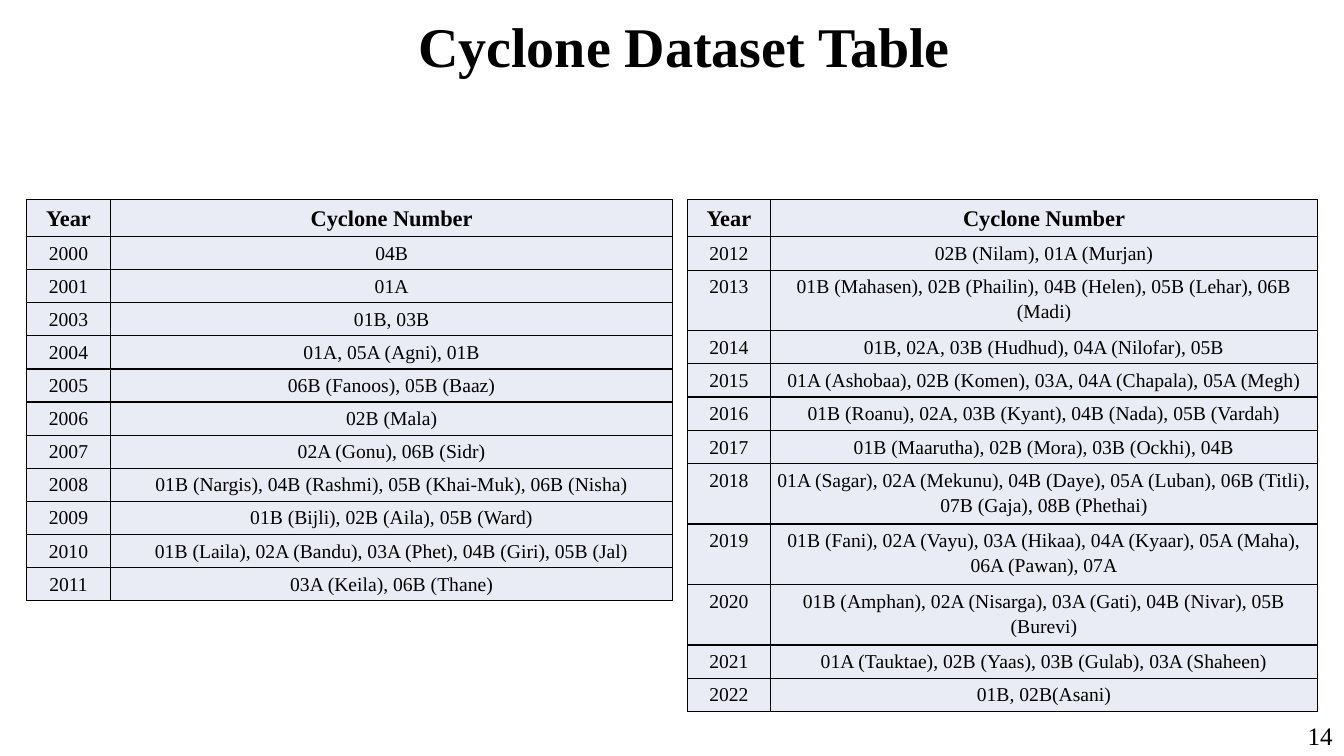
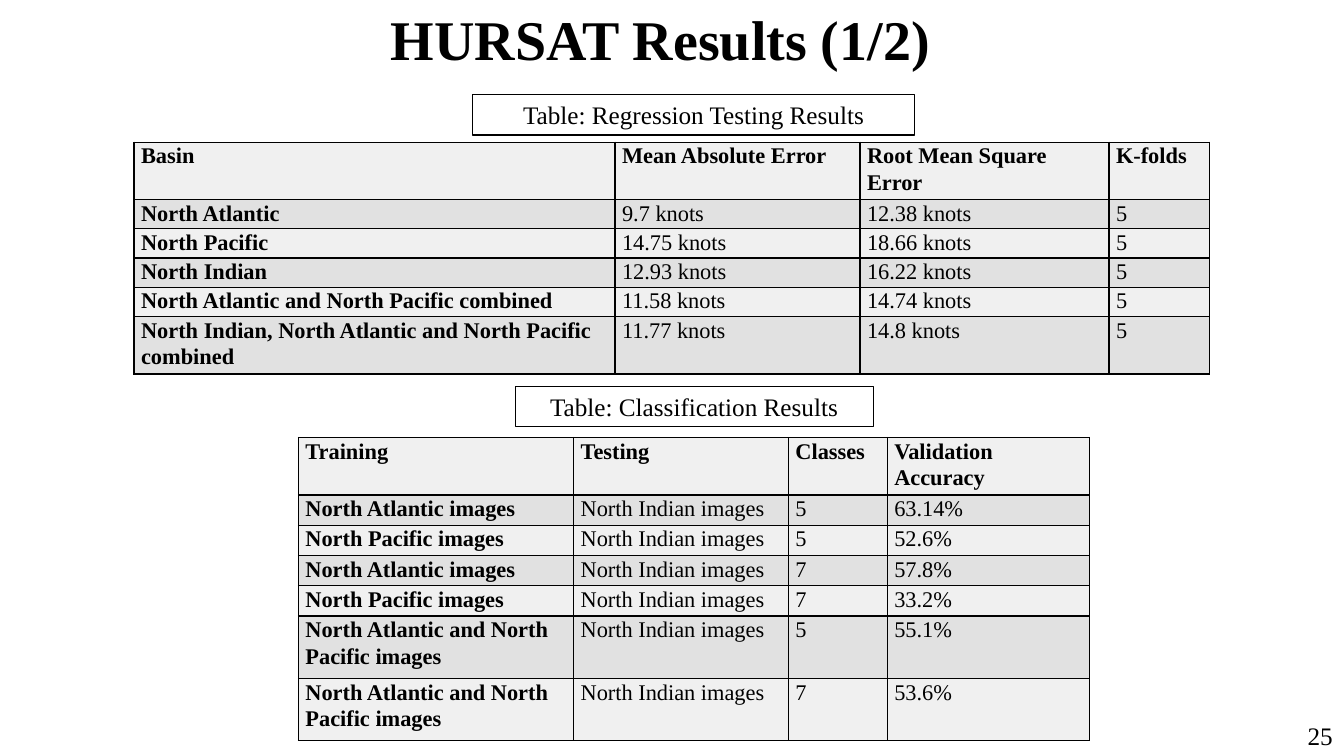
import pptx
import pptx.dml.color
import pptx.enum.shapes
import pptx.enum.text
import pptx.oxml
import pptx.oxml.ns
import pptx.util

PX = 9144  # 100 px to the inch
FONT = "Times New Roman"
INK = "000000"
LAVENDER = "E9EBF5"
GREYS = ("F0F0F0", "E1E1E1")
ALIGN = pptx.enum.text.PP_ALIGN
TITLE_ONLY = 5

CYCLONES_TO_2011 = [
    ("Year", "Cyclone Number"),
    ("2000", "04B"),
    ("2001", "01A"),
    ("2003", "01B, 03B"),
    ("2004", "01A, 05A (Agni), 01B"),
    ("2005", "06B (Fanoos), 05B (Baaz)"),
    ("2006", "02B (Mala)"),
    ("2007", "02A (Gonu), 06B (Sidr)"),
    ("2008", "01B (Nargis), 04B (Rashmi), 05B (Khai-Muk), 06B (Nisha)"),
    ("2009", "01B (Bijli), 02B (Aila), 05B (Ward)"),
    ("2010", "01B (Laila), 02A (Bandu), 03A (Phet), 04B (Giri), 05B (Jal)"),
    ("2011", "03A (Keila), 06B (Thane)"),
]
CYCLONES_FROM_2012 = [
    ("Year", "Cyclone Number"),
    ("2012", "02B (Nilam), 01A (Murjan)"),
    ("2013", "01B (Mahasen), 02B (Phailin), 04B (Helen), 05B (Lehar), 06B (Madi)"),
    ("2014", "01B, 02A, 03B (Hudhud), 04A (Nilofar), 05B"),
    ("2015", "01A (Ashobaa), 02B (Komen), 03A, 04A (Chapala), 05A (Megh)"),
    ("2016", "01B (Roanu), 02A, 03B (Kyant), 04B (Nada), 05B (Vardah)"),
    ("2017", "01B (Maarutha), 02B (Mora), 03B (Ockhi), 04B"),
    ("2018", "01A (Sagar), 02A (Mekunu), 04B (Daye), 05A (Luban), 06B (Titli), "
             "07B (Gaja), 08B (Phethai)"),
    ("2019", "01B (Fani), 02A (Vayu), 03A (Hikaa), 04A (Kyaar), 05A (Maha), "
             "06A (Pawan), 07A"),
    ("2020", "01B (Amphan), 02A (Nisarga), 03A (Gati), 04B (Nivar), 05B (Burevi)"),
    ("2021", "01A (Tauktae), 02B (Yaas), 03B (Gulab), 03A (Shaheen)"),
    ("2022", "01B, 02B(Asani)"),
]
REGRESSION = [
    ("Basin", "Mean Absolute Error", "Root Mean Square Error", "K-folds"),
    ("North Atlantic", "9.7 knots", "12.38 knots", "5"),
    ("North Pacific", "14.75 knots", "18.66 knots", "5"),
    ("North Indian", "12.93 knots", "16.22 knots", "5"),
    ("North Atlantic and North Pacific combined", "11.58 knots", "14.74 knots", "5"),
    ("North Indian, North Atlantic and North Pacific combined",
     "11.77 knots", "14.8 knots", "5"),
]
CLASSIFICATION = [
    ("Training", "Testing", "Classes", "Validation Accuracy"),
    ("North Atlantic images", "North Indian images", "5", "63.14%"),
    ("North Pacific images", "North Indian images", "5", "52.6%"),
    ("North Atlantic images", "North Indian images", "7", "57.8%"),
    ("North Pacific images", "North Indian images", "7", "33.2%"),
    ("North Atlantic and North Pacific images", "North Indian images", "5", "55.1%"),
    ("North Atlantic and North Pacific images", "North Indian images", "7", "53.6%"),
]


def px(*lengths):
    return [pptx.util.Emu(length * PX) for length in lengths]


def color(hex_code):
    return pptx.dml.color.RGBColor.from_string(hex_code)


def write(frame, text, size, bold=False, align=ALIGN.LEFT, spacing=1.0):
    paragraph = frame.paragraphs[0]
    paragraph.alignment = align
    paragraph.line_spacing = spacing
    run = paragraph.add_run()
    run.text = text
    run.font.name = FONT
    run.font.size = pptx.util.Pt(size)
    run.font.bold = bold
    run.font.color.rgb = color(INK)


def add_slide(deck, title, box, page, title_drop=0, title_spacing=1.0):
    """Add a slide with its title and page number; title_drop lowers the title text."""
    slide = deck.slides.add_slide(deck.slide_layouts[TITLE_ONLY])
    heading = slide.shapes.title
    heading.left, heading.top, heading.width, heading.height = px(*box)
    frame = heading.text_frame
    frame.auto_size = pptx.enum.text.MSO_AUTO_SIZE.NONE
    frame.vertical_anchor = pptx.enum.text.MSO_ANCHOR.MIDDLE
    frame.margin_top, frame.margin_bottom = px(title_drop, 0)
    write(frame, title, 40, True, ALIGN.CENTER, title_spacing)

    page_number = slide.shapes.add_textbox(*px(1287, 710, 47, 40))
    page_number.text_frame.word_wrap = True
    write(page_number.text_frame, page, 18)
    return slide


def add_caption(slide, text, box):
    caption = slide.shapes.add_shape(
        pptx.enum.shapes.MSO_SHAPE.RECTANGLE, *px(*box))
    caption.shadow.inherit = False
    caption.fill.background()
    caption.line.color.rgb = color(INK)
    caption.line.width = pptx.util.Pt(0.75)
    write(caption.text_frame, text, 18, align=ALIGN.CENTER)


def add_borders(cell):
    properties = cell._tc.get_or_add_tcPr()
    namespace = pptx.oxml.ns.nsdecls("a")
    for position, side in enumerate("LRTB"):
        properties.insert(position, pptx.oxml.parse_xml(
            f'<a:ln{side} {namespace} w="12700"><a:solidFill>'
            f'<a:srgbClr val="{INK}"/></a:solidFill></a:ln{side}>'))


def add_grid(slide, corner, widths, heights, rows, fills, margins, spacing,
             body_size=16, align=ALIGN.LEFT, bold_labels=False):
    """Add a table whose row fills cycle and whose first row is a bold header."""
    table = slide.shapes.add_table(
        len(rows), len(widths), *px(*corner, sum(widths), sum(heights))).table
    table.horz_banding = False
    for column, width in zip(table.columns, px(*widths)):
        column.width = width
    for row, height in zip(table.rows, px(*heights)):
        row.height = height
    for r, texts in enumerate(rows):
        for c, text in enumerate(texts):
            cell = table.cell(r, c)
            cell.margin_left, cell.margin_top = px(*margins)
            cell.margin_right, cell.margin_bottom = px(*margins)
            cell.fill.solid()
            cell.fill.fore_color.rgb = color(fills[r % len(fills)])
            add_borders(cell)
            bold = r == 0 or (bold_labels and c == 0)
            write(cell.text_frame, text, 16 if r == 0 else body_size,
                  bold, align, spacing)


def add_cyclone_grid(slide, left, widths, heights, rows):
    add_grid(slide, (left, 198), widths, heights, rows, (LAVENDER,), (3, 3), 1.15,
             body_size=14, align=ALIGN.CENTER)


def add_result_grid(slide, corner, widths, heights, rows):
    add_grid(slide, corner, widths, heights, rows, GREYS, (7, 0), 1.07,
             bold_labels=True)


def main():
    deck = pptx.Presentation()
    deck.slide_width, deck.slide_height = px(1333, 750)

    dataset = add_slide(deck, "Cyclone Dataset Table", (402, 0, 553, 77), "14",
                        title_drop=13)
    add_cyclone_grid(dataset, 26, (84, 557), [35] + [31] * 11, CYCLONES_TO_2011)
    two_line_years = ("2013", "2018", "2019", "2020")
    heights = [60 if year in two_line_years else 33
               for year, _ in CYCLONES_FROM_2012[1:]]
    add_cyclone_grid(dataset, 682, (82, 543), [37] + heights, CYCLONES_FROM_2012)

    results = add_slide(deck, "HURSAT Results (1/2)", (369, 0, 572, 84), "25",
                        title_spacing=0.9)
    add_caption(results, "Table: Regression Testing Results", (469, 94, 438, 40))
    add_result_grid(results, (133, 141), (477, 243, 247, 100),
                    [57] + [29] * 4 + [57], REGRESSION)
    add_caption(results, "Table: Classification Results", (511, 383, 355, 40))
    add_result_grid(results, (296, 434), (273, 213, 98, 201),
                    [57] + [30] * 4 + [62] * 2, CLASSIFICATION)

    deck.save("out.pptx")


if __name__ == "__main__":
    main()
